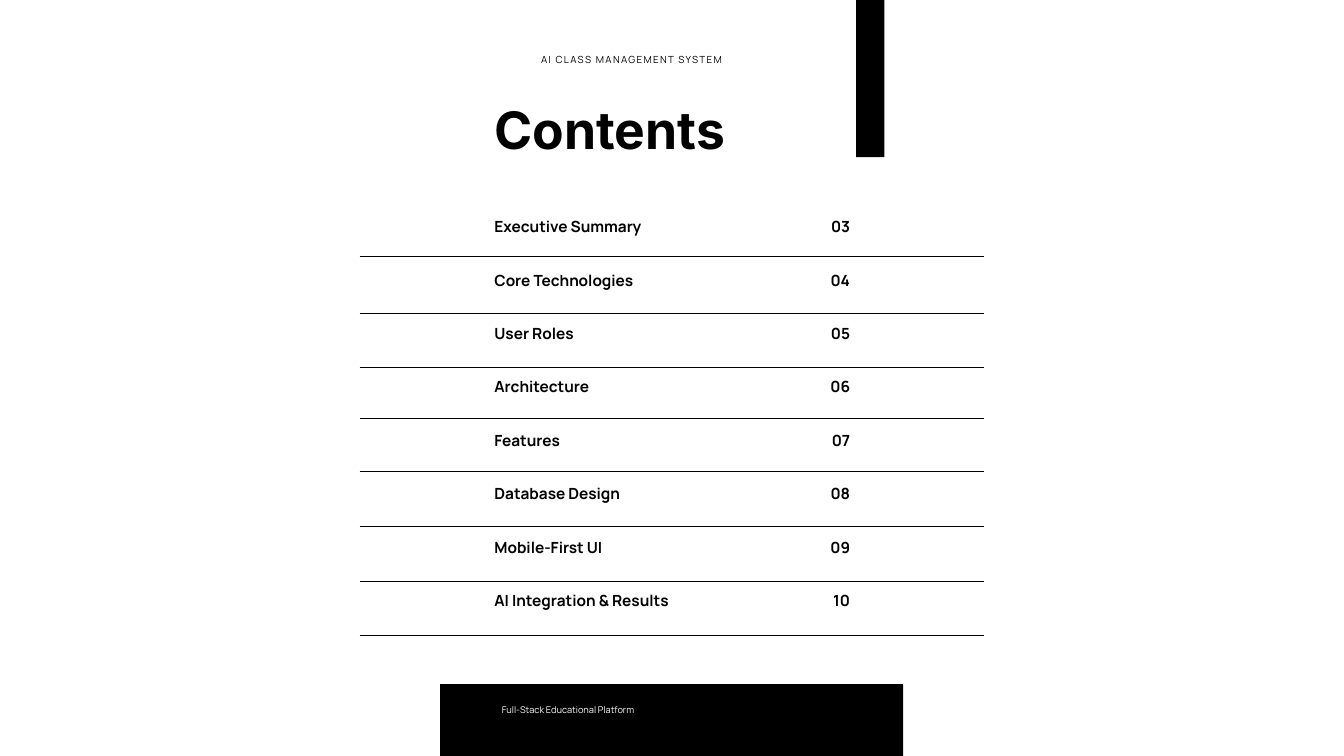
from lxml.etree import SubElement
from pptx import Presentation
from pptx.dml.color import RGBColor
from pptx.enum.shapes import MSO_CONNECTOR, MSO_SHAPE
from pptx.enum.text import MSO_ANCHOR, MSO_AUTO_SIZE, PP_ALIGN
from pptx.oxml.ns import qn
from pptx.util import Cm, Pt

BLACK = RGBColor(0, 0, 0)
WHITE = RGBColor(255, 255, 255)

TITLE = "Contents"
HEADER = "AI CLASS MANAGEMENT SYSTEM"
FOOTER = "Full-Stack Educational Platform"

# entry, page number, entry width, height of the rule below
ENTRIES = [
    ("Executive Summary", "03", 6.07, 9.68),
    ("Core Technologies", "04", 6.07, 11.84),
    ("User Roles", "05", 6.07, 13.87),
    ("Architecture", "06", 8.89, 15.8),
    ("Features", "07", 9.73, 17.83),
    ("Database Design", "08", 7.26, 19.91),
    ("Mobile-First UI", "09", 11.15, 21.97),
    ("AI Integration & Results", "10", 7.26, 24.03),
]
ENTRY_LEFT, NUMBER_LEFT, NUMBER_WIDTH = 18.69, 30.58, 1.55
FIRST_TOP, ROW_STEP, ROW_HEIGHT = 8.1, 2.02, 0.81
RULE_LEFT, RULE_RIGHT = 13.59, 37.21


def set_text(box, text, size, leading, font="Manrope", bold=False,
             color=BLACK, align=PP_ALIGN.LEFT):
    frame = box.text_frame
    frame.word_wrap = True
    frame.auto_size = MSO_AUTO_SIZE.SHAPE_TO_FIT_TEXT
    frame.vertical_anchor = MSO_ANCHOR.TOP
    frame.margin_left = frame.margin_right = 0
    frame.margin_top = frame.margin_bottom = 0
    frame.text = text
    para = frame.paragraphs[0]
    para.alignment = align
    para.line_spacing = Pt(leading)
    para.space_before = Pt(0)
    para.font.name = font
    para.font.size = Pt(size)
    para.font.bold = bold
    para.font.color.rgb = color
    return para


def add_text(page, left, top, width, height, text, size, leading, **style):
    box = page.shapes.add_textbox(Cm(left), Cm(top), Cm(width), Cm(height))
    return set_text(box, text, size, leading, **style)


def add_block(page, left, top, width, height):
    block = page.shapes.add_shape(
        MSO_SHAPE.RECTANGLE, Cm(left), Cm(top), Cm(width), Cm(height))
    block.shadow.inherit = False
    block.fill.solid()
    block.fill.fore_color.rgb = BLACK
    block.line.fill.background()


def add_rule(page, top):
    rule = page.shapes.add_connector(
        MSO_CONNECTOR.STRAIGHT, Cm(RULE_LEFT), Cm(top), Cm(RULE_RIGHT), Cm(top))
    rule.line.color.rgb = BLACK
    rule.line.width = Pt(0.75)
    SubElement(rule._element.spPr, qn("a:effectLst"))


def main():
    deck = Presentation()
    deck.slide_width, deck.slide_height = Cm(50.8), Cm(28.58)
    page = deck.slides.add_slide(deck.slide_layouts[5])
    page.background.fill.solid()
    page.background.fill.fore_color.rgb = WHITE

    add_block(page, 16.64, 25.86, 17.5, 2.72)
    add_block(page, 32.36, 0, 1.07, 5.94)

    title = page.shapes.title
    title.left, title.top, title.width, title.height = (
        Cm(18.69), Cm(4.14), Cm(8.89), Cm(2.03))
    set_text(title, TITLE, 55.3, 54.2, font="Inter", bold=True)

    header = add_text(page, 20.45, 1.98, 7.14, 0.48, HEADER, 10.5, 13.7)
    header.runs[0].font._element.set("spc", "150")
    add_text(page, 18.97, 26.59, 9.47, 0.43, FOOTER, 9.9, 12.8, color=WHITE)

    for row, (entry, number, width, rule_top) in enumerate(ENTRIES):
        top = FIRST_TOP + row * ROW_STEP
        add_text(page, ENTRY_LEFT, top, width, ROW_HEIGHT, entry, 16.5, 23, bold=True)
        add_text(page, NUMBER_LEFT, top, NUMBER_WIDTH, ROW_HEIGHT, number, 16.5, 23,
                 bold=True, align=PP_ALIGN.RIGHT)
        add_rule(page, rule_top)

    deck.save("out.pptx")


if __name__ == "__main__":
    main()
